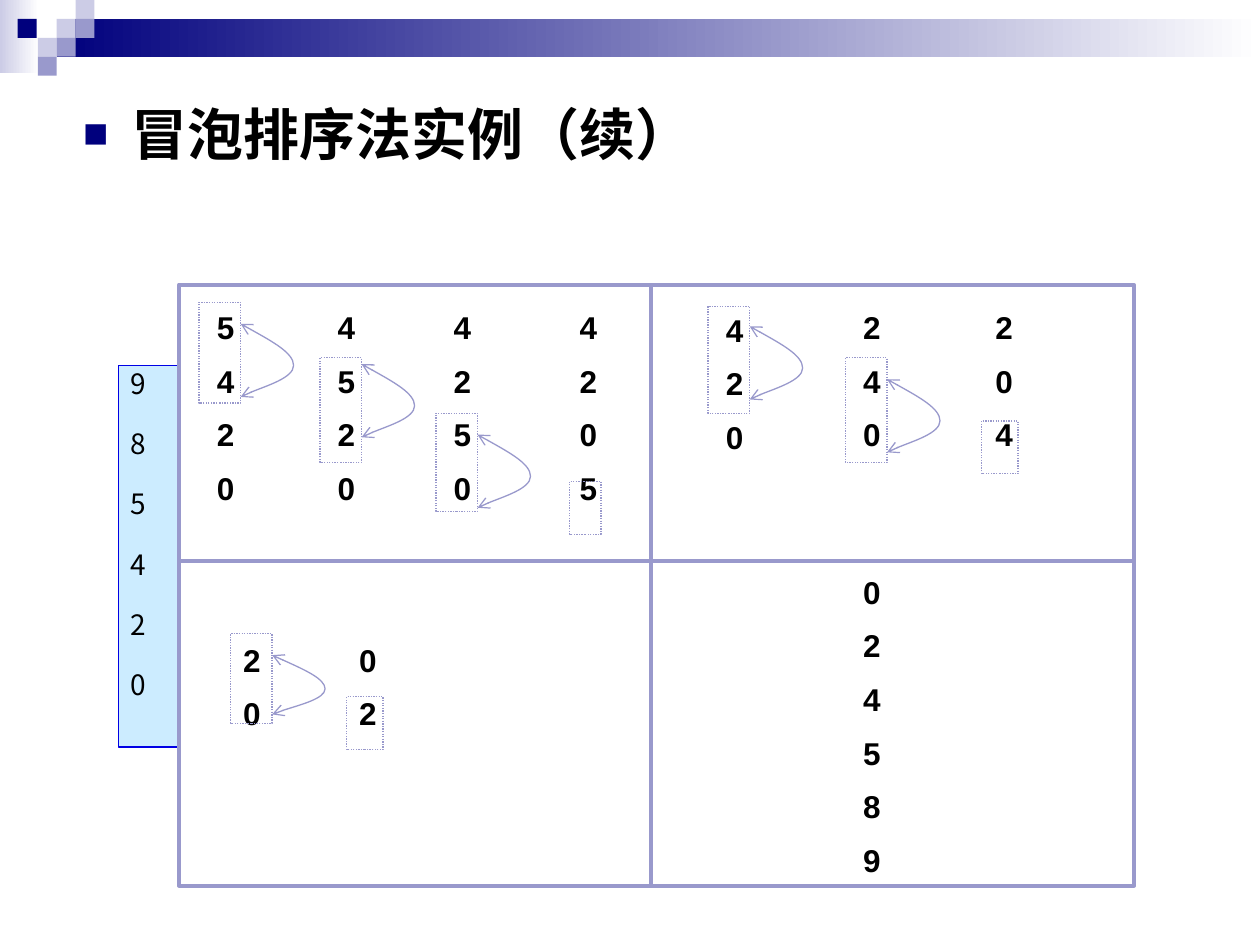
import pptx
import pptx.dml.color
import pptx.enum.dml
import pptx.enum.shapes
import pptx.enum.text
import pptx.oxml.ns
import pptx.util
from lxml import etree

Inches = pptx.util.Inches
Pt = pptx.util.Pt
qn = pptx.oxml.ns.qn

COLORS = {
    "navy": "00007D", "lilac": "9999CC", "pale": "CCCCE6", "white": "FFFFFF",
    "black": "000000", "sky": "CCECFF", "blue": "0000E5",
}
LATIN, CJK = "Arial", "Noto Sans CJK SC"


def rgb(name):
    return pptx.dml.color.RGBColor.from_string(COLORS[name])


class SortSlide:
    """Style and drawing methods for the current slide."""

    def __init__(self, slide):
        self.slide = slide
        self.shapes = slide.shapes

    def rect(self, left, top, width, height, fill=None, line=None, weight=0.75, dash=None):
        shape = self.shapes.add_shape(
            pptx.enum.shapes.MSO_SHAPE.RECTANGLE,
            Inches(left), Inches(top), Inches(width), Inches(height))
        shape.shadow.inherit = False
        if isinstance(fill, tuple):
            shape.fill.gradient()
            shape.fill.gradient_angle = 0
            for stop, color in zip(shape.fill.gradient_stops, fill):
                stop.color.rgb = rgb(color)
        elif fill:
            shape.fill.solid()
            shape.fill.fore_color.rgb = rgb(fill)
        else:
            shape.fill.background()
        if line:
            shape.line.color.rgb = rgb(line)
            shape.line.width = Pt(weight)
            if dash:
                shape.line.dash_style = dash
        else:
            shape.line.fill.background()
        return shape

    def line(self, x1, y1, x2, y2):
        connector = self.shapes.add_connector(
            pptx.enum.shapes.MSO_CONNECTOR.STRAIGHT,
            Inches(x1), Inches(y1), Inches(x2), Inches(y2))
        connector.line.color.rgb = rgb("lilac")
        connector.line.width = Pt(2.25)
        etree.SubElement(connector._element.spPr, qn("a:effectLst"))

    def heading(self, text, left, top, width, height):
        body = self.slide.placeholders[1]
        body.left, body.top = Inches(left), Inches(top)
        body.width, body.height = Inches(width), Inches(height)
        frame = body.text_frame
        frame.text = text
        frame.auto_size = pptx.enum.text.MSO_AUTO_SIZE.NONE
        paragraph = frame.paragraphs[0]
        props = paragraph._p.get_or_add_pPr()
        props.set("marL", str(Inches(0.38)))
        props.set("indent", str(-Inches(0.38)))
        bullet_color = etree.SubElement(props, qn("a:buClr"))
        etree.SubElement(bullet_color, qn("a:srgbClr"), val=COLORS["navy"])
        etree.SubElement(props, qn("a:buSzPct"), val="75000")
        etree.SubElement(props, qn("a:buFont"), typeface=LATIN)
        etree.SubElement(props, qn("a:buChar"), char="■")
        paragraph.space_before = Pt(0)
        self.font(paragraph, 32, LATIN, True)

    def font(self, paragraph, size, name, bold):
        for run in paragraph.runs:
            run.font.size = Pt(size)
            run.font.name = name
            run.font.bold = bold
            run.font.color.rgb = rgb("black")
            east_asian = etree.Element(qn("a:ea"), typeface=CJK)
            run.font._element.find(qn("a:latin")).addnext(east_asian)

    def digits(self, shape, values, size, name, bold, align, gap, spacing=None):
        frame = shape.text_frame
        frame.word_wrap = True
        frame.vertical_anchor = pptx.enum.text.MSO_ANCHOR.TOP
        frame.text = "\n".join(values)
        for index, paragraph in enumerate(frame.paragraphs):
            paragraph.alignment = align
            paragraph.space_before = Pt(gap if index else 0)
            if spacing:
                paragraph.line_spacing = spacing
            self.font(paragraph, size, name, bold)

    def column(self, center, top, values):
        height = 0.1 + 0.4 * len(values)
        box = self.shapes.add_textbox(
            Inches(center - 0.25), Inches(top), Inches(0.5), Inches(height))
        self.digits(box, values, 18, LATIN, True,
                    pptx.enum.text.PP_ALIGN.CENTER, 11.2, 0.9)

    def swap_arrow(self, left, top, height, width=0.42):
        x, y, w, h = (Inches(v) for v in (left, top, width, height))
        builder = self.shapes.build_freeform(x, y)
        builder.add_line_segments([(x + w, y + h // 2), (x, y + h)], close=False)
        curve = builder.convert_to_shape()
        curve.shadow.inherit = False
        curve.fill.background()
        curve.line.color.rgb = rgb("lilac")
        curve.line.width = Pt(0.75)
        # Replace the straight segments by two Bezier arcs
        arcs = [[(0.5, 0.2), (1, 0.4), (1, 0.57)], [(1, 0.74), (0.16, 0.93), (0, 1)]]
        segments = list(curve._element.iter(qn("a:lnTo")))
        for segment, points in zip(segments, arcs):
            arc = etree.Element(qn("a:cubicBezTo"))
            for px, py in points:
                etree.SubElement(arc, qn("a:pt"), x=str(round(px * w)), y=str(round(py * h)))
            segment.getparent().replace(segment, arc)
        for end in ("a:headEnd", "a:tailEnd"):
            etree.SubElement(curve.line._get_or_add_ln(), qn(end), type="arrow")


def main():
    prs = pptx.Presentation()
    prs.slide_width, prs.slide_height = Inches(10), Inches(7.5)
    slide = prs.slides.add_slide(prs.slide_layouts[1])
    title = slide.shapes.title._element
    title.getparent().remove(title)
    page = SortSlide(slide)

    # Header band and mosaic
    page.rect(0, 0, 0.31, 0.58, ("pale", "white"))
    page.rect(0.45, 0.15, 9.55, 0.3, ("navy", "white"))
    mosaic = [(0.45, 0.15, "pale"), (0.6, 0, "pale"), (0.6, 0.15, "lilac"),
              (0.3, 0.3, "pale"), (0.14, 0.15, "navy"), (0.45, 0.3, "lilac"),
              (0.3, 0.45, "lilac")]
    for left, top, color in mosaic:
        page.rect(left, top, 0.15, 0.15, color)

    page.heading("冒泡排序法实例（续）", 0.56, 0.74, 9.22, 0.81)

    # Starting sequence, partly behind the panel
    sequence = page.rect(0.94, 2.9, 0.47, 3.03, "sky", "blue")
    sequence.text_frame.margin_top = Inches(0.01)
    page.digits(sequence, "985420", 16, CJK, False,
                pptx.enum.text.PP_ALIGN.LEFT, 15.2)

    # Panel with four quadrants
    page.rect(1.42, 2.26, 7.58, 4.77, "white", "lilac", 2.25)
    page.line(1.42, 4.45, 9, 4.45)
    for top, bottom in ((2.26, 5.26), (4.53, 7.03)):
        page.line(5.17, top, 5.17, bottom)

    # Sorting steps: center, top, digits, compared cells, swap arrow (top, height)
    steps = [
        (1.79, 2.43, "5420", (1.58, 2.4, 0.33, 0.8), (2.57, 0.58)),
        (2.75, 2.43, "4520", (2.54, 2.84, 0.33, 0.83), (2.89, 0.58)),
        (3.67, 2.43, "4250", (3.46, 3.28, 0.33, 0.78), (3.45, 0.58)),
        (4.67, 2.43, "4205", (4.52, 3.82, 0.25, 0.42), None),
        (5.83, 2.45, "420", (5.62, 2.43, 0.33, 0.85), (2.59, 0.58)),
        (6.92, 2.43, "240", (6.71, 2.84, 0.33, 0.83), (3.01, 0.58)),
        (7.97, 2.43, "204", (7.79, 3.34, 0.29, 0.42), None),
        (2, 5.07, "20", (1.83, 5.03, 0.33, 0.71), (5.2, 0.47)),
        (2.92, 5.07, "02", (2.75, 5.53, 0.29, 0.42), None),
        (6.92, 4.53, "024589", None, None),
    ]
    for center, top, values, cells, swap in steps:
        page.column(center, top, values)
        if cells:
            page.rect(*cells, line="lilac", dash=pptx.enum.dml.MSO_LINE.ROUND_DOT)
        if swap:
            page.swap_arrow(cells[0] + cells[2], *swap)

    prs.save("out.pptx")


if __name__ == "__main__":
    main()
